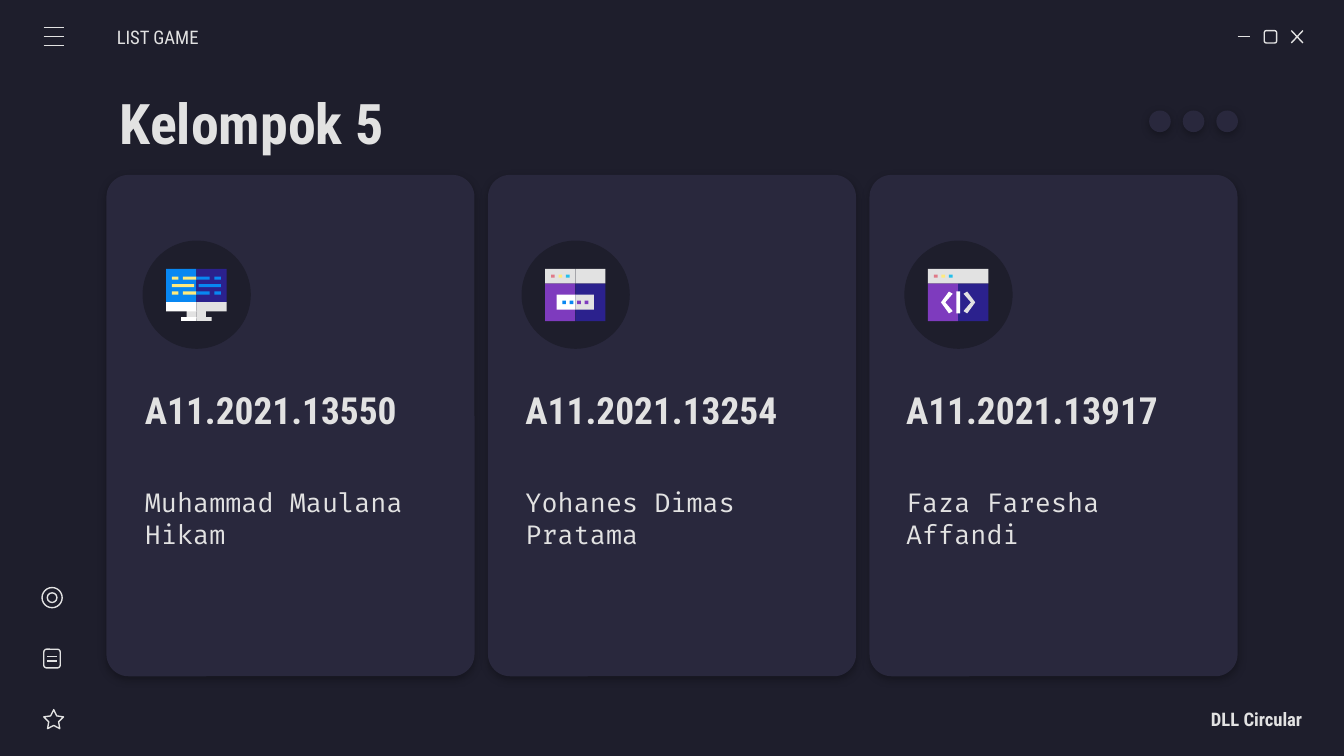
"""Build the group members slide with three cards."""
from dataclasses import dataclass
from typing import Any, Callable

from lxml import etree
from pptx import Presentation
from pptx.dml.color import RGBColor
from pptx.enum.shapes import MSO_CONNECTOR, MSO_SHAPE
from pptx.enum.text import MSO_ANCHOR, PP_ALIGN
from pptx.oxml.ns import qn
from pptx.util import Pt

LEFT, RIGHT = PP_ALIGN.LEFT, PP_ALIGN.RIGHT
MIDDLE = MSO_ANCHOR.MIDDLE
STRAIGHT = MSO_CONNECTOR.STRAIGHT
RECTANGLE, ROUNDED = MSO_SHAPE.RECTANGLE, MSO_SHAPE.ROUNDED_RECTANGLE
OVAL, STAR = MSO_SHAPE.OVAL, MSO_SHAPE.STAR_5_POINT


@dataclass(frozen=True)
class Theme:
    background: str = "1E1E2C"
    panel: str = "29283D"
    light: str = "E2E2E2"
    white: str = "FFFFFF"
    navy: str = "2B218D"
    purple: str = "7E3BBE"
    blue: str = "0887F2"
    cyan: str = "24BFEB"
    yellow: str = "FFEA7D"
    pink: str = "E07A88"
    heading_font: str = "Roboto Condensed"
    code_font: str = "Fira Code"
    title_size: float = 30
    number_size: float = 20
    name_size: float = 14
    label_size: float = 10
    stroke: float = 0.75


@dataclass(frozen=True)
class Box:
    left: float
    top: float
    width: float
    height: float

    def emu(self) -> tuple[Pt, Pt, Pt, Pt]:
        return Pt(self.left), Pt(self.top), Pt(self.width), Pt(self.height)


@dataclass(frozen=True)
class Member:
    number: str
    name: str
    badge_left: float
    draw_icon: Callable[["Icon"], None]


THEME = Theme()
HALF = 16.2
ICON_WIDTH = 2 * HALF


def color(value: str) -> RGBColor:
    return RGBColor.from_string(value)


def paint(shape: Any, fill: str) -> None:
    shape.shadow.inherit = False
    shape.fill.solid()
    shape.fill.fore_color.rgb = color(fill)
    shape.line.fill.background()


def add_filled(shapes: Any, kind: Any, box: Box, fill: str) -> Any:
    shape = shapes.add_shape(kind, *box.emu())
    paint(shape, fill)
    return shape


def add_outlined(shapes: Any, kind: Any, box: Box) -> Any:
    shape = shapes.add_shape(kind, *box.emu())
    shape.shadow.inherit = False
    shape.fill.background()
    shape.line.color.rgb = color(THEME.light)
    shape.line.width = Pt(THEME.stroke)
    return shape


def add_line(shapes: Any, x1: float, y1: float, x2: float, y2: float) -> None:
    line = shapes.add_connector(STRAIGHT, Pt(x1), Pt(y1), Pt(x2), Pt(y2))
    line.line.color.rgb = color(THEME.light)
    line.line.width = Pt(THEME.stroke)
    etree.SubElement(line._element.spPr, qn("a:effectLst"))


def add_soft_shadow(shape: Any) -> None:
    effects = shape._element.spPr.find(qn("a:effectLst"))
    shadow = etree.SubElement(effects, qn("a:outerShdw"), blurRad=str(Pt(4.5)),
                              dist=str(Pt(1.5)), dir="5400000", algn="bl", rotWithShape="0")
    black = etree.SubElement(shadow, qn("a:srgbClr"), val="000000")
    etree.SubElement(black, qn("a:alpha"), val="30000")


def write(holder: Any, text: str, size: float, font: str = THEME.heading_font, bold: bool = False,
          align: Any = LEFT, left_inset: float = 7.2, right_inset: float = 7.2) -> None:
    frame = holder.text_frame
    frame.text = text
    frame.word_wrap = True
    frame.vertical_anchor = MIDDLE
    frame.margin_left, frame.margin_right = Pt(left_inset), Pt(right_inset)
    frame.margin_top = frame.margin_bottom = Pt(7.2)
    paragraph = frame.paragraphs[0]
    paragraph.alignment = align
    style = paragraph.runs[0].font
    style.name, style.size, style.bold = font, Pt(size), bold
    style.color.rgb = color(THEME.light)


@dataclass(frozen=True)
class Icon:
    shapes: Any
    left: float
    top: float

    def block(self, x: float, y: float, width: float, height: float, fill: str) -> None:
        add_filled(self.shapes, RECTANGLE, Box(self.left + x, self.top + y, width, height), fill)

    def halves(self, x: float, y: float, height: float, left_fill: str, right_fill: str) -> None:
        self.block(x, y, HALF - x, height, left_fill)
        self.block(HALF, y, HALF - x, height, right_fill)

    def mirrored(self, x: float, y: float, width: float, height: float,
                 left_fill: str, right_fill: str) -> None:
        self.block(x, y, width, height, left_fill)
        self.block(ICON_WIDTH - x - width, y, width, height, right_fill)

    def outline(self, points: list[tuple[float, float]], fill: str) -> None:
        corners = [(Pt(self.left + x), Pt(self.top + y)) for x, y in points]
        builder = self.shapes.build_freeform(*corners[0])
        builder.add_line_segments(corners[1:])
        paint(builder.convert_to_shape(), fill)


def draw_monitor(icon: Icon) -> None:
    icon.halves(0, 0, 18, THEME.blue, THEME.navy)
    icon.halves(11, 22.6, 4, THEME.light, THEME.light)
    icon.halves(8, 25.9, 2, THEME.white, THEME.light)
    icon.halves(0, 17.9, 4.9, THEME.white, THEME.light)
    icon.mirrored(3, 8.2, 12, 1.7, THEME.yellow, THEME.blue)
    for y in (4.2, 12.2):
        icon.mirrored(3, y, 3.6, 1.7, THEME.yellow, THEME.blue)
        icon.halves(9, y, 1.7, THEME.yellow, THEME.blue)


def draw_window(icon: Icon) -> None:
    icon.halves(0, 7.8, 20.2, THEME.purple, THEME.navy)
    icon.halves(0, 0, 7.8, THEME.light, THEME.light)
    for index, fill in enumerate((THEME.pink, THEME.yellow, THEME.cyan)):
        icon.block(3.2 + 4 * index, 3.1, 2, 1.7, fill)


def draw_prompt_window(icon: Icon) -> None:
    draw_window(icon)
    icon.halves(6.2, 13.9, 8.1, THEME.white, THEME.light)
    for x in (9.2, 13.2):
        icon.mirrored(x, 17, 2, 2, THEME.blue, THEME.purple)


def draw_code_window(icon: Icon) -> None:
    draw_window(icon)
    bracket = [(11.3, 12.2), (7, 18), (11.3, 23.9), (13.3, 22.7), (9.3, 18), (13.3, 13.4)]
    icon.outline(bracket, THEME.white)
    icon.outline([(ICON_WIDTH - x, y) for x, y in bracket], THEME.light)
    icon.block(HALF - 1, 12.2, 2, 11.8, THEME.white)


def draw_card(shapes: Any, index: int, member: Member) -> None:
    card = add_filled(shapes, ROUNDED, Box(57 + 204.4 * index, 93.7, 197.2, 268.6), THEME.panel)
    card.adjustments[0] = 0.06
    add_soft_shadow(card)
    add_filled(shapes, OVAL, Box(member.badge_left, 128.9, 58, 58), THEME.background)
    member.draw_icon(Icon(shapes.add_group_shape().shapes, member.badge_left + 12.6, 144))
    text_left = 70.5 + 203.9 * index
    number = shapes.add_textbox(*Box(text_left, 201, 171.4, 36.7).emu())
    write(number, member.number, THEME.number_size, bold=True)
    name = shapes.add_textbox(*Box(text_left, 238.3, 171.4, 78.5).emu())
    write(name, member.name, THEME.name_size, THEME.code_font)


def draw_window_controls(shapes: Any) -> None:
    add_line(shapes, 663, 19.6, 669.6, 19.6)
    add_outlined(shapes, ROUNDED, Box(677.3, 16.4, 6.6, 6.6))
    add_line(shapes, 691.8, 16.4, 698, 23)
    add_line(shapes, 698, 16.4, 691.8, 23)


def draw_sidebar(shapes: Any) -> None:
    menu = shapes.add_group_shape().shapes
    for index in range(3):
        y = 14.7 + 4.85 * index
        add_line(menu, 23.4, y, 34.2, y)
    tools = shapes.add_group_shape().shapes
    star = add_outlined(tools, STAR, Box(23.5, 380.2, 10.6, 10.2))
    star.adjustments[0] = 0.25
    add_outlined(tools, ROUNDED, Box(23.5, 347.8, 8.8, 10))
    for y in (351.6, 354.2):
        add_line(tools, 25.4, y, 30.4, y)
    for size in (10.8, 5.2):
        add_outlined(tools, OVAL, Box(27.9 - size / 2, 320.2 - size / 2, size, size))


def main() -> None:
    deck = Presentation()
    deck.slide_width, deck.slide_height = Pt(720), Pt(405)
    slide = deck.slides.add_slide(deck.slide_layouts[5])
    slide.background.fill.solid()
    slide.background.fill.fore_color.rgb = color(THEME.background)
    shapes = slide.shapes
    title = shapes.title
    title.left, title.top, title.width, title.height = Box(57, 42.5, 358, 45.4).emu()
    write(title, "Kelompok 5", THEME.title_size, bold=True)
    members = (
        Member("A11.2021.13550", "Muhammad Maulana Hikam", 76.4, draw_monitor),
        Member("A11.2021.13254", "Yohanes Dimas Pratama", 279.4, draw_prompt_window),
        Member("A11.2021.13917", "Faza Faresha Affandi", 484.5, draw_code_window),
    )
    for index, member in enumerate(members):
        draw_card(shapes, index, member)
    draw_window_controls(shapes.add_group_shape().shapes)
    draw_sidebar(shapes)
    section = shapes.add_textbox(*Box(62.6, 9, 84.2, 21.6).emu())
    write(section, "LIST GAME", THEME.label_size, left_inset=0)
    footer = shapes.add_textbox(*Box(613.4, 374.6, 84.2, 21.6).emu())
    write(footer, "DLL Circular", THEME.label_size, bold=True, align=RIGHT, right_inset=0)
    dots = shapes.add_group_shape().shapes
    for index in range(3):
        add_soft_shadow(add_filled(dots, OVAL, Box(615.6 + 18 * index, 59.2, 11.6, 11.6), THEME.panel))
    deck.save("out.pptx")


if __name__ == "__main__":
    main()
